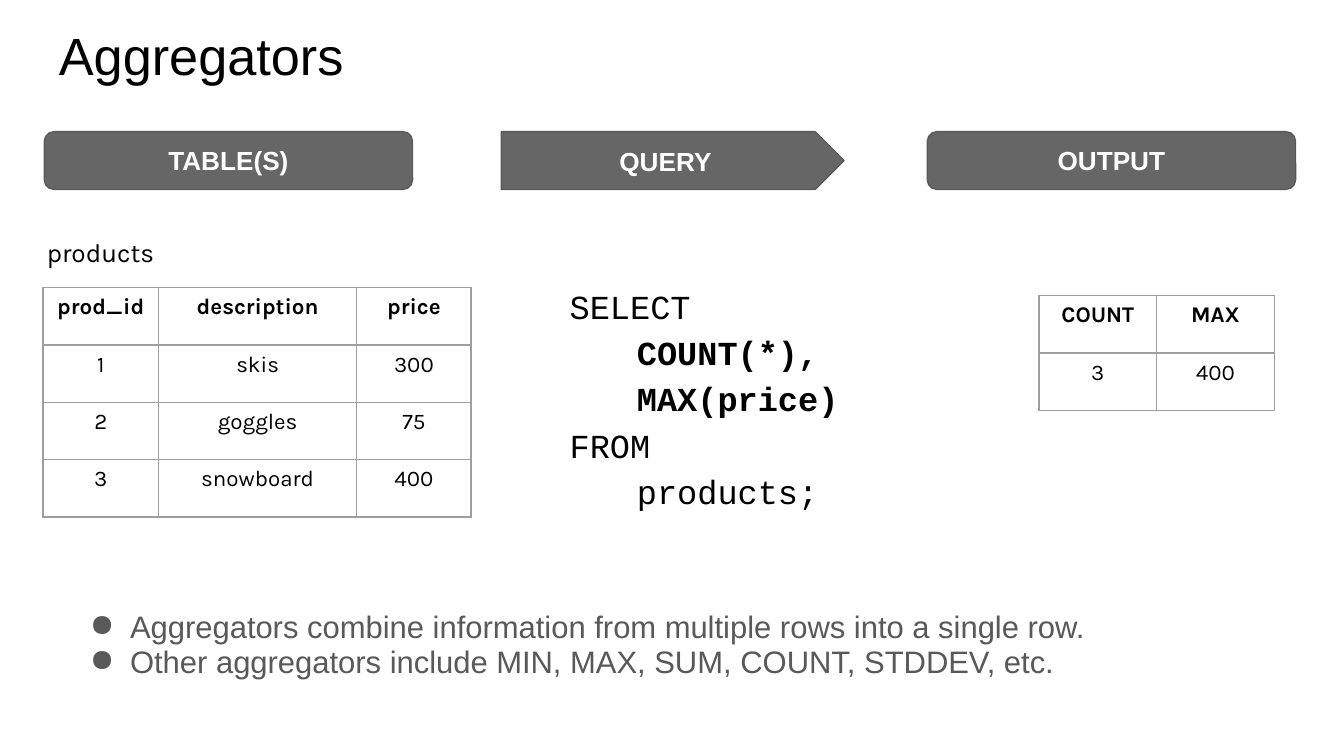
from lxml import etree
from pptx import Presentation
from pptx import util as u
from pptx.dml.color import RGBColor
from pptx.enum import shapes, text
from pptx.oxml import ns

COLS, ROWS = 100, 56.25  # square grid cells of 0.1 inch
MID = text.PP_ALIGN.CENTER


def rgb(value):
    return RGBColor.from_string(value)


class Deck:
    """Holds the style and the current slide."""

    TITLE = dict(size=28, name="Arial", color="000000")
    BANNER = dict(size=14, name="Arial", color="FFFFFF", bold=True)
    CODE = dict(size=18, name="Courier New", color="000000")
    LABEL = dict(size=14, name="Karla", color="000000")
    CELL = dict(size=12, name="Karla", color="000000")
    BULLET = dict(size=16.6, name="Arial", color="595959")
    FILL, EDGE, GRID = "666666", "595959", "9E9E9E"

    def __init__(self):
        self.prs = Presentation()
        self.prs.slide_width, self.prs.slide_height = u.Inches(10), u.Inches(5.625)
        self.s = self.prs.slides.add_slide(self.prs.slide_layouts[6])

    def x(self, cols):
        return int(self.prs.slide_width * cols / COLS)

    def y(self, rows):
        return int(self.prs.slide_height * rows / ROWS)

    def box(self, left, top, width, height):
        return self.x(left), self.y(top), self.x(width), self.y(height)

    def fill_text(self, tf, lines, fmt, **para):
        """Fill a text frame; a line is a string or a (string, bold) pair."""
        frame = dict(word_wrap=True, margin_left=self.x(1), margin_right=self.x(1),
                     margin_top=self.y(1), margin_bottom=self.y(1))
        for key, value in frame.items():
            setattr(tf, key, value)
        for i, line in enumerate(lines):
            words, bold = line if isinstance(line, tuple) else (line, fmt.get("bold", False))
            p = tf.paragraphs[0] if i == 0 else tf.add_paragraph()
            for key, value in para.items():
                setattr(p, key, value)
            r = p.add_run()
            r.text = words
            font = dict(size=u.Pt(fmt["size"]), name=fmt["name"], bold=bold)
            for key, value in font.items():
                setattr(r.font, key, value)
            r.font.color.rgb = rgb(fmt["color"])

    def text(self, area, lines, fmt, **para):
        tf = self.s.shapes.add_textbox(*self.box(*area)).text_frame
        self.fill_text(tf, lines, fmt, **para)
        return tf

    def bullets(self, area, lines):
        tf = self.text(area, lines, self.BULLET, line_spacing=0.95)
        for p in tf.paragraphs:
            pPr = p._p.get_or_add_pPr()
            pPr.set("marL", str(self.x(5)))
            pPr.set("indent", str(-self.x(3)))
            color = etree.SubElement(pPr, ns.qn("a:buClr"))
            etree.SubElement(color, ns.qn("a:srgbClr"), val=self.BULLET["color"])
            etree.SubElement(pPr, ns.qn("a:buChar"), char="●")

    def banner(self, kind, left, width, label):
        sp = self.s.shapes.add_shape(kind, *self.box(left, 9.8, width, 4.3))
        sp.shadow.inherit = False
        sp.fill.solid()
        sp.fill.fore_color.rgb = rgb(self.FILL)
        sp.line.color.rgb = rgb(self.EDGE)
        sp.line.width = u.Pt(0.75)
        sp.text_frame.vertical_anchor = text.MSO_ANCHOR.MIDDLE
        self.fill_text(sp.text_frame, [label], self.BANNER, alignment=MID)

    def table(self, left, top, widths, rows, pitch=4.27):
        area = self.box(left, top, sum(widths), pitch * len(rows))
        tbl = self.s.shapes.add_table(len(rows), len(widths), *area).table
        tbl.first_row = tbl.horz_banding = False
        for column, width in zip(tbl.columns, widths):
            column.width = self.x(width)
        for i, values in enumerate(rows):
            tbl.rows[i].height = self.y(pitch)
            for j, value in enumerate(values):
                cell = tbl.cell(i, j)
                self.fill_text(cell.text_frame, [(value, i == 0)], self.CELL, alignment=MID)
                # Cell margins replace the ones set on the text frame
                body = cell.text_frame._txBody.bodyPr
                body.attrib.clear()
                cell.margin_left = cell.margin_right = self.x(1)
                cell.margin_top = cell.margin_bottom = self.y(0.5)
                cell.fill.background()
                self.borders(cell)

    def borders(self, cell):
        tcPr = cell._tc.get_or_add_tcPr()
        for k, side in enumerate(("lnL", "lnR", "lnT", "lnB")):
            ln = etree.Element(ns.qn("a:" + side), w=str(u.Pt(0.75)))
            fill = etree.SubElement(ln, ns.qn("a:solidFill"))
            etree.SubElement(fill, ns.qn("a:srgbClr"), val=self.GRID)
            tcPr.insert(k, ln)


def main():
    d = Deck()

    # Title
    d.text((3.4, 0.7, 93.2, 6.8), ["Aggregators"], d.TITLE)

    # Query
    d.text((41.4, 19.8, 34.8, 22.5),
           ["SELECT", ("\tCOUNT(*),", True), ("\tMAX(price)", True), "FROM", "\tproducts;"],
           d.CODE, line_spacing=1.15)

    # Column banners
    kinds = shapes.MSO_SHAPE
    for kind, left, width, label in (
            (kinds.ROUNDED_RECTANGLE, 3.3, 27.4, "TABLE(S)"),
            (kinds.ROUNDED_RECTANGLE, 69, 27.4, "OUTPUT"),
            (kinds.PENTAGON, 37.3, 25.5, "QUERY")):
        d.banner(kind, left, width, label)

    # Takeaways
    d.bullets((3.7, 44.4, 90.3, 7.4), [
        "Aggregators combine information from multiple rows into a single row.",
        "Other aggregators include MIN, MAX, SUM, COUNT, STDDEV, etc."])

    # Output and source tables
    d.table(77.3, 22, (8.76, 8.76), [("COUNT", "MAX"), ("3", "400")])
    d.table(3.2, 21.4, (8.6, 14.75, 8.5), [
        ("prod_id", "description", "price"),
        ("1", "skis", "300"),
        ("2", "goggles", "75"),
        ("3", "snowboard", "400")])
    d.text((2.5, 16.6, 15.7, 4.3), ["products"], d.LABEL)

    d.prs.save("out.pptx")


if __name__ == "__main__":
    main()
